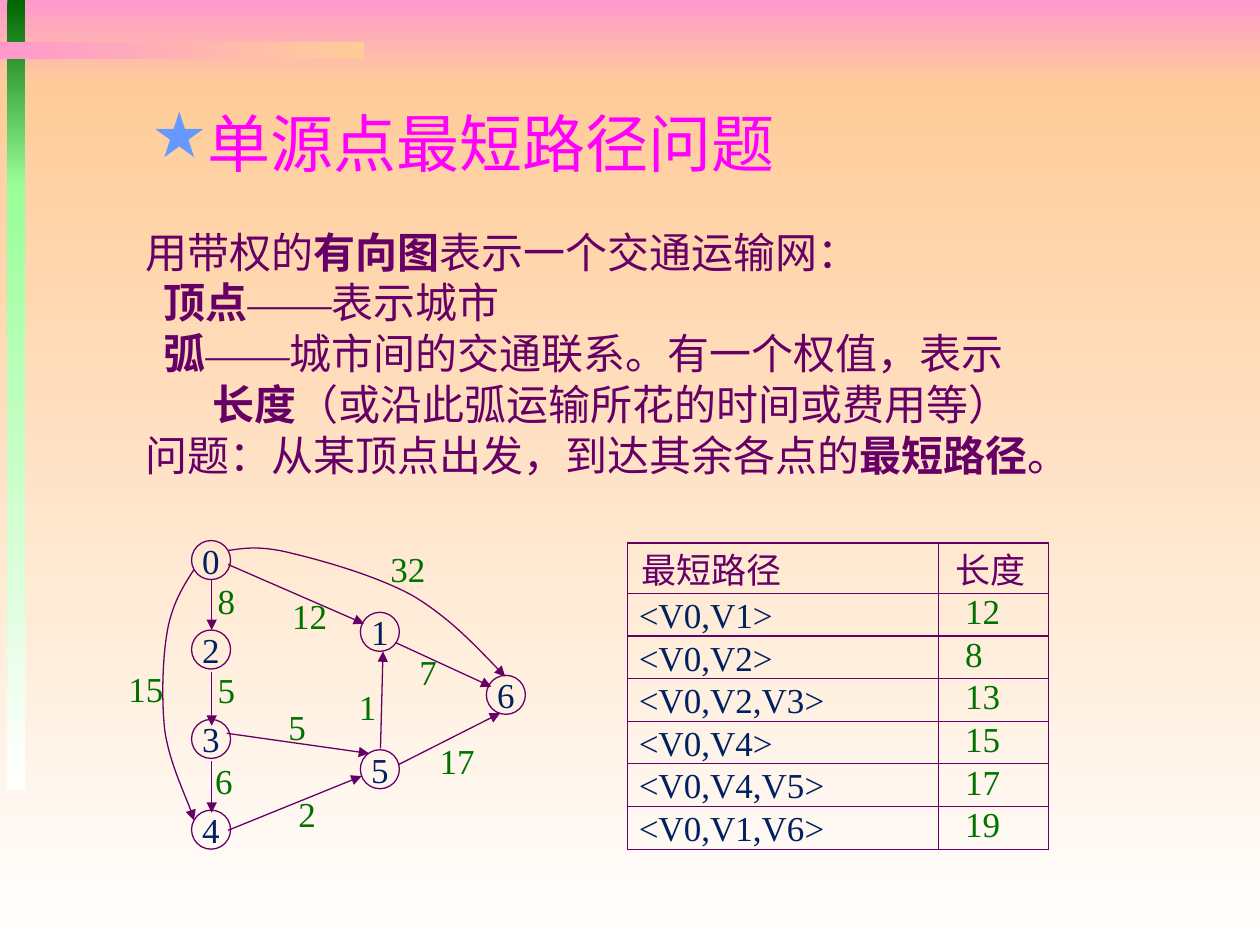
from collections import namedtuple
from dataclasses import dataclass

from lxml.etree import SubElement
from pptx import Presentation
from pptx.dml.color import RGBColor
from pptx.enum.shapes import MSO_CONNECTOR as Connector, MSO_SHAPE as Shape
from pptx.enum.text import MSO_ANCHOR as Anchor, MSO_AUTO_SIZE as AutoSize, PP_ALIGN as Align
from pptx.oxml.ns import qn
from pptx.util import Inches, Pt


@dataclass(frozen=True)
class Theme:
    """Colours, fonts and sizes of the slide."""
    ink: str = "660066"
    title: str = "FF00FF"
    star: str = "6699FF"
    vertex: str = "002060"
    weight: str = "007200"
    pink: str = "FF99CC"
    peach: str = "FFCC99"
    forest: str = "006600"
    mint: str = "99FF99"
    white: str = "FFFFFF"
    serif: str = "Times New Roman"
    sans: str = "Arial"
    chinese: str = "Noto Sans CJK SC"
    title_size: int = 36
    body_size: int = 24
    small_size: int = 20
    line_width: float = 0.75


THEME = Theme()
Box = namedtuple("Box", "left top width height")
BOLD = {"bold": True}
DASH = {"font": THEME.serif, "east_asian": THEME.serif}

BODY = [
    (0, 0, [("用带权的", {}), ("有向图", BOLD), ("表示一个交通运输网：", {})]),
    (0.14, 0, [("顶点", BOLD), ("——", DASH), ("表示城市", {})]),
    (0.53, -0.39, [("弧", BOLD), ("——", DASH), ("城市间的交通联系。有一个权值，表示", {}),
                   ("\n", {}), ("长度", BOLD), ("（或沿此弧运输所花的时间或费用等）", {})]),
    (0, 0, [("问题：从某顶点出发，到达其余各点的", {}), ("最短路径", BOLD), ("。", {})]),
]
VERTICES = {"0": (0.6, 0), "2": (0.6, 0.71), "3": (0.6, 1.42), "4": (0.6, 2.14),
            "1": (1.94, 0.57), "5": (1.94, 1.66), "6": (2.94, 1.07)}
ARCS = [
    (0.76, 0.31, 0.76, 0.71), (0.76, 1.04, 0.76, 1.47), (0.76, 1.75, 0.76, 2.16),
    (0.89, 0.19, 1.97, 0.66), (2.22, 0.81, 2.98, 1.16), (0.89, 2.3, 1.95, 1.87),
    (2.24, 1.78, 3.05, 1.37), (2.1, 1.65, 2.12, 0.88), (0.88, 1.53, 2.01, 1.69),
]
CURVES = [
    [(0.62, 0.23), (0.53, 0.37), (0.45, 0.5), (0.41, 0.71), (0.37, 0.93),
     (0.36, 1.27), (0.39, 1.52), (0.43, 1.77), (0.59, 2.1), (0.62, 2.22)],
    [(0.89, 0.08), (1.02, 0.06), (1.15, 0.04), (1.39, 0.1), (1.64, 0.16),
     (2.07, 0.28), (2.36, 0.44), (2.64, 0.61), (2.86, 0.84), (3.09, 1.08)],
]
WEIGHTS = [
    ("8", 0.71, 0.26), ("5", 0.71, 0.97), ("6", 0.69, 1.69), ("2", 1.35, 1.95),
    ("15", 0, 0.96), ("12", 1.3, 0.38), ("7", 2.31, 0.82), ("17", 2.47, 1.53),
    ("32", 2.08, 0.01), ("1", 1.83, 1.1), ("5", 1.27, 1.26),
]
PATHS = [("最短路径", "长度"), ("<V0,V1>", "12"), ("<V0,V2>", "8"), ("<V0,V2,V3>", "13"),
         ("<V0,V4>", "15"), ("<V0,V4,V5>", "17"), ("<V0,V1,V6>", "19")]


def color(value):
    """Turn a hex string into a colour."""
    return RGBColor.from_string(value)


def write(paragraph, text, *, size=THEME.small_size, ink=THEME.ink, font=THEME.serif,
          east_asian=THEME.chinese, bold=False, align=Align.LEFT):
    """Add one formatted run to a paragraph."""
    paragraph.alignment = align
    run = paragraph.add_run()
    run.text = text
    run.font.size, run.font.bold, run.font.name = Pt(size), bold, font
    run.font.color.rgb = color(ink)
    SubElement(run.font._element, qn("a:ea"), typeface=east_asian)


def indent(paragraph, margin, first):
    """Set the left margin and first-line indent in inches."""
    properties = paragraph._p.get_or_add_pPr()
    properties.set("marL", str(Inches(margin)))
    properties.set("indent", str(Inches(first)))
    return properties


def text_box(slide, box):
    """Add an empty text box that does not wrap."""
    frame = slide.shapes.add_textbox(*map(Inches, box)).text_frame
    frame.word_wrap = False
    return frame


def style_line(shape, arrow=False):
    """Give a shape or connector the thin line, with an arrowhead if asked."""
    shape.line.color.rgb = color(THEME.ink)
    shape.line.width = Pt(THEME.line_width)
    if arrow:
        SubElement(shape.line._get_or_add_ln(), qn("a:tailEnd"), type="triangle")


def gradient_bar(slide, box, start, end, angle=270):
    """Add a borderless rectangle with a two-colour gradient."""
    bar = slide.shapes.add_shape(Shape.RECTANGLE, *map(Inches, box))
    bar.shadow.inherit = False
    bar.line.fill.background()
    bar.fill.gradient()
    bar.fill.gradient_angle = angle
    for stop, position, value in zip(bar.fill.gradient_stops, (0, 1), (start, end)):
        stop.position, stop.color.rgb = position, color(value)


def place_backdrop(slide, box):
    """Fill the box with the gradient bands and bars."""
    left, top, width, height = box
    band = 0.67
    gradient_bar(slide, Box(left, top, width, band), THEME.pink, THEME.peach)
    gradient_bar(slide, Box(left, top + band, width, height - band), THEME.peach, THEME.white)
    gradient_bar(slide, Box(left + 0.06, top, 0.14, 1.48), THEME.forest, THEME.mint)
    gradient_bar(slide, Box(left + 0.06, top + 1.46, 0.14, 4.81), THEME.mint, THEME.white)
    gradient_bar(slide, Box(left, top + 0.33, 2.89, 0.14), THEME.pink, THEME.peach, 0)


def place_title(slide, box):
    """Move the title to the box, above the backdrop, with a star bullet."""
    title = slide.shapes.title
    title._element.getparent().append(title._element)
    title.left, title.top, title.width, title.height = map(Inches, box)
    frame = title.text_frame
    frame.auto_size, frame.vertical_anchor = AutoSize.NONE, Anchor.TOP
    paragraph = frame.paragraphs[0]
    write(paragraph, "单源点最短路径问题", size=THEME.title_size, ink=THEME.title, font=THEME.sans)
    properties = indent(paragraph, 0.81, -0.31)
    SubElement(SubElement(properties, qn("a:buClr")), qn("a:srgbClr"), val=THEME.star)
    SubElement(properties, qn("a:buChar"), char="★")


def place_body(slide, box):
    """Write the problem statement in the box."""
    frame = text_box(slide, box)
    for number, (margin, first, segments) in enumerate(BODY):
        paragraph = frame.add_paragraph() if number else frame.paragraphs[0]
        paragraph.line_spacing = Pt(29.1)
        indent(paragraph, margin, first)
        for text, style in segments:
            if text == "\n":
                paragraph.add_line_break()
            else:
                write(paragraph, text, **{"size": THEME.body_size, "font": THEME.chinese, **style})


def add_curve(slide, points):
    """Draw a Bézier arc from a start point and triples of control points."""
    start, *rest = [(Inches(x), Inches(y)) for x, y in points]
    builder = slide.shapes.build_freeform(*start)
    builder.add_line_segments(rest, close=False)
    curve = builder.convert_to_shape()
    curve.shadow.inherit = False
    curve.fill.background()
    style_line(curve, arrow=True)
    segments = list(curve._element.iter(qn("a:lnTo")))
    for first in range(0, len(segments), 3):
        bezier = SubElement(segments[first].getparent(), qn("a:cubicBezTo"))
        for segment in segments[first:first + 3]:
            bezier.append(segment[0])
            segment.getparent().remove(segment)


def place_graph(slide, box):
    """Draw the weighted directed graph in the box."""
    left, top = box.left, box.top
    for name, (x, y) in VERTICES.items():
        vertex = slide.shapes.add_shape(
            Shape.OVAL, *map(Inches, (left + x, top + y, 0.31, 0.31)))
        vertex.shadow.inherit = False
        vertex.fill.background()
        style_line(vertex)
        frame = vertex.text_frame
        frame.word_wrap, frame.vertical_anchor = False, Anchor.MIDDLE
        write(frame.paragraphs[0], name, ink=THEME.vertex, align=Align.CENTER)
    for x1, y1, x2, y2 in ARCS:
        arc = slide.shapes.add_connector(
            Connector.STRAIGHT, *map(Inches, (left + x1, top + y1, left + x2, top + y2)))
        style_line(arc, arrow=True)
        SubElement(arc._element.spPr, qn("a:effectLst"))
    for points in CURVES:
        add_curve(slide, [(left + x, top + y) for x, y in points])
    for text, x, y in WEIGHTS:
        frame = text_box(slide, Box(left + x, top + y, 0.2 + 0.14 * len(text), 0.43))
        write(frame.paragraphs[0], text, ink=THEME.weight)


def format_cell(cell, margin, anchor):
    """Clear the cell's fill and margins and draw its four borders."""
    cell.margin_left = Inches(margin)
    cell.margin_right = cell.margin_top = cell.margin_bottom = 0
    cell.vertical_anchor = anchor
    properties = cell._tc.get_or_add_tcPr()
    for side in ("a:lnL", "a:lnR", "a:lnT", "a:lnB"):
        border = SubElement(properties, qn(side), w=str(Pt(THEME.line_width)))
        SubElement(SubElement(border, qn("a:solidFill")), qn("a:srgbClr"), val=THEME.ink)
    cell.fill.background()


def place_table(slide, box):
    """Build the table of shortest paths in the box."""
    table = slide.shapes.add_table(len(PATHS), 2, *map(Inches, box)).table
    table.first_row = table.horz_banding = False
    table.columns[0].width, table.columns[1].width = Inches(2.47), Inches(box.width - 2.47)
    header = 0.4
    for row, texts in enumerate(PATHS):
        table.rows[row].height = Inches((box.height - header) / (len(PATHS) - 1) if row else header)
        margins = (0.09, 0.21) if row else (0.11, 0.13)
        inks = (THEME.vertex, THEME.weight) if row else (THEME.ink, THEME.ink)
        for column, anchor in enumerate((Anchor.BOTTOM, Anchor.TOP)):
            cell = table.cell(row, column)
            format_cell(cell, margins[column], anchor)
            write(cell.text_frame.paragraphs[0], texts[column], ink=inks[column])


def main():
    """Build and save the slide."""
    presentation = Presentation()
    presentation.slide_width, presentation.slide_height = Inches(10), Inches(7.5)
    slide = presentation.slides.add_slide(presentation.slide_layouts[5])
    place_backdrop(slide, Box(0, 0, 10, 7.5))
    place_title(slide, Box(0.6, 0.78, 9.3, 0.7))
    place_body(slide, Box(1.06, 1.74, 7.78, 2.12))
    place_table(slide, Box(4.98, 4.31, 3.34, 2.43))
    place_graph(slide, Box(0.92, 4.29, 3.25, 2.45))
    presentation.save("out.pptx")


if __name__ == "__main__":
    main()
